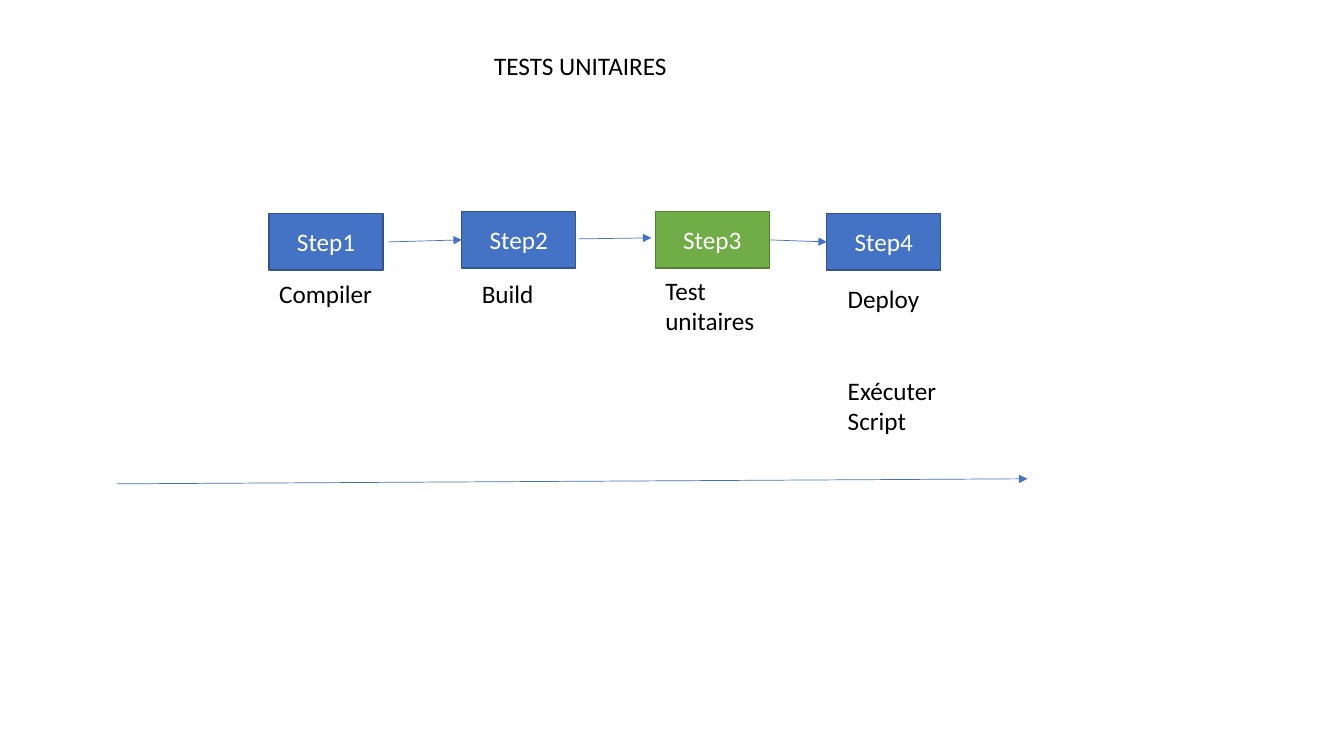
from dataclasses import dataclass

from lxml.etree import SubElement as Sub
from pptx import Presentation
from pptx.dml.color import RGBColor as Rgb
from pptx.enum.shapes import MSO_CONNECTOR as Link, MSO_SHAPE as Shape
from pptx.enum.text import MSO_ANCHOR as Anchor, MSO_AUTO_SIZE as Fit, PP_ALIGN as Align
from pptx.oxml.ns import qn
from pptx.util import Inches, Pt


@dataclass(frozen=True)
class Theme:
    font: str = "Calibri"
    size: int = 18
    ink: str = "000000"
    light: str = "FFFFFF"
    blue: str = "4472C4"
    navy: str = "325491"
    green: str = "70AD47"
    moss: str = "538035"
    edge: float = 1
    thin: float = 0.5


class Deck:
    def __init__(self, theme):
        self.theme = theme
        self.prs = Presentation()
        self.prs.slide_width, self.prs.slide_height = Inches(13.33), Inches(7.5)
        self.slide = self.prs.slides.add_slide(self.prs.slide_layouts[5])
        self.shapes = self.slide.shapes

    def fill_text(self, frame, lines, color, align=Align.LEFT, gap=0):
        """Fill a frame with one paragraph per line, gap points apart."""
        frame.text = "\n".join(lines)
        frame.word_wrap = True
        for i, para in enumerate(frame.paragraphs):
            para.alignment = align
            if i:
                para.space_before = Pt(gap)
            for run in para.runs:
                run.font.name = self.theme.font
                run.font.size = Pt(self.theme.size)
                run.font.color.rgb = Rgb.from_string(color)

    def title(self, text, x, y, w, h):
        head = self.shapes.title
        head.left, head.top, head.width, head.height = map(Inches, (x, y, w, h))
        self.fill_text(head.text_frame, [text], self.theme.ink)
        head.text_frame.vertical_anchor = Anchor.TOP
        head.text_frame.auto_size = Fit.NONE

    def label(self, lines, x, y, w, h, gap=0):
        box = self.shapes.add_textbox(*map(Inches, (x, y, w, h)))
        self.fill_text(box.text_frame, lines, self.theme.ink, gap=gap)

    def step(self, text, x, y, w, h, fill, line):
        box = self.shapes.add_shape(Shape.RECTANGLE, *map(Inches, (x, y, w, h)))
        box.shadow.inherit = False
        box.fill.solid()
        box.fill.fore_color.rgb = Rgb.from_string(fill)
        box.line.color.rgb = Rgb.from_string(line)
        box.line.width = Pt(self.theme.edge)
        box.text_frame.vertical_anchor = Anchor.MIDDLE
        self.fill_text(box.text_frame, [text], self.theme.light, Align.CENTER)

    def arrow(self, *ends):
        link = self.shapes.add_connector(Link.STRAIGHT, *map(Inches, ends))
        link.line.color.rgb = Rgb.from_string(self.theme.blue)
        link.line.width = Pt(self.theme.thin)
        props = link._element.spPr
        Sub(props.find(qn("a:ln")), qn("a:tailEnd"), type="triangle")
        Sub(props, qn("a:effectLst"))


def main():
    theme = Theme()
    deck = Deck(theme)
    deck.title("TESTS UNITAIRES", 4.8, 0.45, 2.23, 0.4)

    plain, done = (theme.blue, theme.navy), (theme.green, theme.moss)
    steps = [(2.67, 2.12, plain), (4.58, 2.1, plain), (6.5, 2.1, done), (8.2, 2.12, plain)]
    for num, (x, y, paint) in enumerate(steps, 1):
        deck.step(f"Step{num}", x, y, 1.13, 0.56, *paint)

    deck.label(["Compiler"], 2.67, 2.71, 1.34, 0.4)
    deck.label(["Build"], 4.68, 2.71, 0.79, 0.4)
    deck.label(["Test unitaires"], 6.5, 2.68, 1.13, 0.71)
    deck.label(["Deploy", "Exécuter Script"], 8.31, 2.76, 1.13, 1.62, gap=44)

    deck.arrow(3.85, 2.4, 4.58, 2.38)
    deck.arrow(5.74, 2.37, 6.46, 2.36)
    deck.arrow(7.63, 2.38, 8.2, 2.4)
    deck.arrow(1.16, 4.8, 10.19, 4.75)

    deck.prs.save("out.pptx")


if __name__ == "__main__":
    main()
